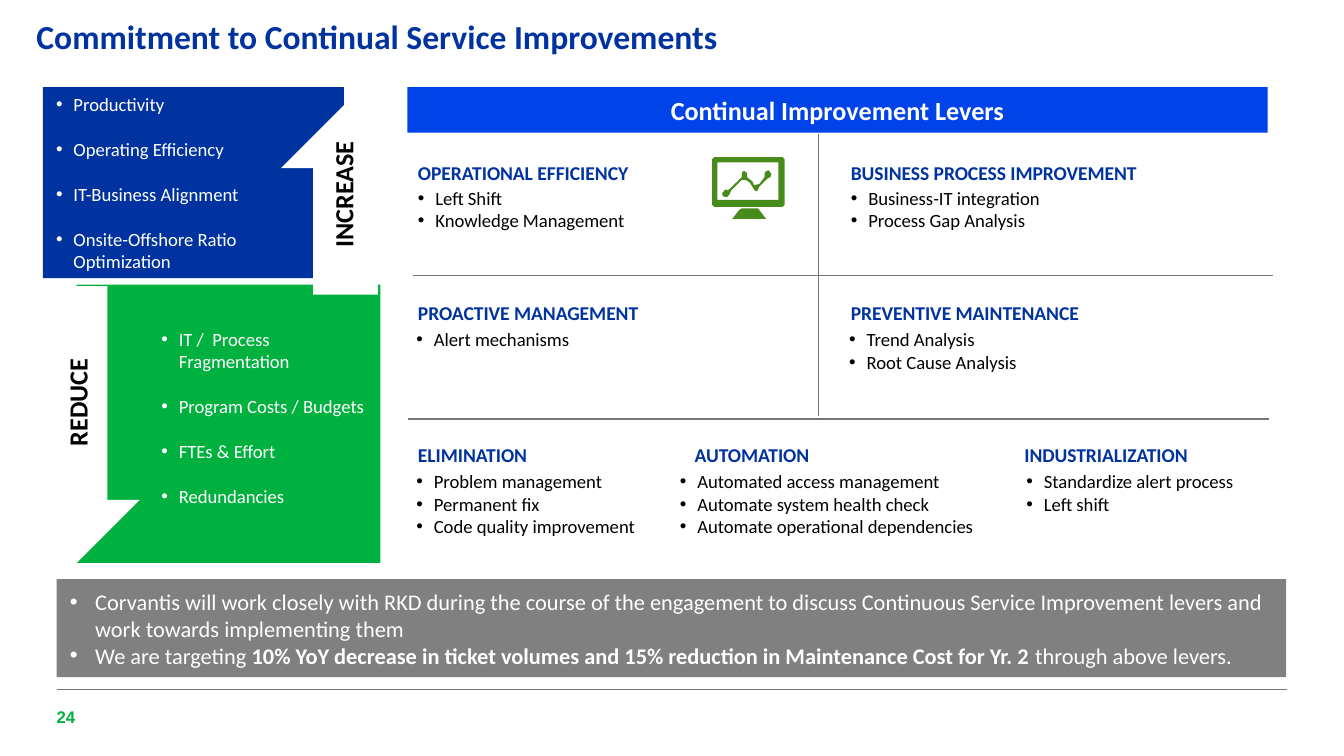
from lxml import etree
from pptx import Presentation
from pptx.dml.color import RGBColor
from pptx.enum.shapes import MSO_CONNECTOR, MSO_SHAPE
from pptx.enum.text import MSO_ANCHOR, PP_ALIGN
from pptx.oxml.ns import qn
from pptx.util import Cm, Pt

RECT, DOWN = MSO_SHAPE.RECTANGLE, MSO_SHAPE.DOWN_ARROW
TOP, MIDDLE = MSO_ANCHOR.TOP, MSO_ANCHOR.MIDDLE
LEFT, CENTER = PP_ALIGN.LEFT, PP_ALIGN.CENTER
STRAIGHT = MSO_CONNECTOR.STRAIGHT

NAVY, BLUE, GREEN, ICON = "0033A0", "0043E9", "00B140", "478B1B"
GREY, RULE, WHITE, BLACK = "808080", "767676", "FFFFFF", "000000"
WIDE, MID, SLIM, NONE = (0.25, 0.13), (0.18, 0.09), (0.15, 0.08), (0, 0)
INDENT = 0.33

TITLE = "Commitment to Continual Service Improvements"
INCREASE = ["Productivity", "Operating Efficiency", "IT-Business Alignment",
            "Onsite-Offshore Ratio Optimization"]
REDUCE = ["IT /  Process Fragmentation", "Program Costs / Budgets",
          "FTEs & Effort", "Redundancies"]
SUMMARY = [
    "Corvantis will work closely with RKD during the course of the engagement to discuss "
    "Continuous Service Improvement levers and work towards implementing them",
    "We are targeting *10% YoY decrease in ticket volumes and 15% reduction in "
    "Maintenance Cost for Yr. 2* through above levers.",
]
LEVER_ROWS = [
    (2.95, 3.45, [
        (7.72, 7.75, "OPERATIONAL EFFICIENCY", ["Left Shift", "Knowledge Management"]),
        (15.9, 15.93, "BUSINESS PROCESS IMPROVEMENT",
         ["Business-IT integration", "Process Gap Analysis"]),
    ]),
    (5.59, 6.12, [
        (7.72, 7.72, "PROACTIVE MANAGEMENT", ["Alert mechanisms"]),
        (15.9, 15.9, "PREVENTIVE MAINTENANCE", ["Trend Analysis", "Root Cause Analysis"]),
    ]),
    (8.28, 8.81, [
        (7.72, 7.72, "ELIMINATION",
         ["Problem management", "Permanent fix", "Code quality improvement"]),
        (12.95, 12.7, "AUTOMATION",
         ["Automated access management", "Automate system health check",
          "Automate operational dependencies"]),
        (19.18, 19.25, "INDUSTRIALIZATION", ["Standardize alert process", "Left shift"]),
    ]),
]
LABELS = [("INCREASE", 4.83, 3.33, 3.3), ("REDUCE", 0.1, 7.26, 2.72)]
ARROWS = [(5.31, 1.96, 3.61, 180), (0.2, 5.41, 5.26, 0)]
RULES = [(15.47, 7.87, 15.47, 2.54), (7.8, 5.21, 24.05, 5.21), (7.72, 7.92, 23.98, 7.92)]

ICON_AT = (13.46, 2.97)
SCREEN = [
    [(4, 0), (133, 0), (137, 4), (137, 90), (133, 94), (4, 94), (0, 90), (0, 4)],
    [(10, 10), (125, 10), (125, 81), (10, 81)],
]
STAND = [[(38, 117), (102, 117), (89, 100), (86, 97), (56, 97), (51, 100)]]
TREND = [[
    (99, 33), (99, 38), (89, 51), (79, 53), (76, 46), (66, 38), (66, 30), (60, 26),
    (56, 30), (56, 38), (30, 63), (25, 61), (19, 68), (20, 74), (28, 76), (33, 70),
    (36, 63), (56, 43), (63, 43), (71, 48), (76, 56), (79, 61), (83, 65), (86, 63),
    (89, 56), (104, 41), (110, 38), (112, 32), (107, 25), (101, 27),
]]

prs = Presentation()
prs.slide_width, prs.slide_height = Cm(25.4), Cm(14.29)
slide = prs.slides.add_slide(prs.slide_layouts[6])
shapes = slide.shapes


def rgb(value):
    return RGBColor.from_string(value)


def paint(sp, color):
    sp.shadow.inherit = False
    sp.fill.solid()
    sp.fill.fore_color.rgb = rgb(color)
    sp.line.fill.background()
    return sp


def add_block(kind, x, y, w, h, color):
    return paint(shapes.add_shape(kind, Cm(x), Cm(y), Cm(w), Cm(h)), color)


def add_bullet(p, indent):
    pPr = p._p.get_or_add_pPr()
    pPr.set("marL", str(Cm(indent)))
    pPr.set("indent", str(-Cm(indent)))
    etree.SubElement(pPr, qn("a:buFont")).set("typeface", "Arial")
    etree.SubElement(pPr, qn("a:buChar")).set("char", "•")


def write(sp, lines, size, color, bold=False, align=LEFT, anchor=TOP, inset=WIDE,
          indent=0, after=0, spacing=None, font="Calibri"):
    tf = sp.text_frame
    tf.word_wrap = True
    tf.vertical_anchor = anchor
    tf.margin_left = tf.margin_right = Cm(inset[0])
    tf.margin_top = tf.margin_bottom = Cm(inset[1])
    for i, line in enumerate(lines):
        p = tf.add_paragraph() if i else tf.paragraphs[0]
        if indent:
            add_bullet(p, indent)
        p.alignment = align
        p.space_after = Pt(after)
        p.line_spacing = spacing
        for j, part in enumerate(line.split("*")):
            r = p.add_run()
            r.text = part
            r.font.size, r.font.name = Pt(size), font
            r.font.bold = bold or j % 2 == 1
            r.font.color.rgb = rgb(color)


def add_text(x, y, w, h, lines, size, color, **style):
    sp = shapes.add_textbox(Cm(x), Cm(y), Cm(w), Cm(h))
    write(sp, lines, size, color, **style)
    return sp


def add_rule(x1, y1, x2, y2, width):
    line = shapes.add_connector(STRAIGHT, Cm(x1), Cm(y1), Cm(x2), Cm(y2))
    line.line.color.rgb = rgb(RULE)
    line.line.width = Pt(width)
    etree.SubElement(line._element.spPr, qn("a:effectLst"))


def add_outline(contours):
    builder = shapes.build_freeform(*contours[0][0], scale=Cm(0.01))
    for i, points in enumerate(contours):
        if i:
            builder.move_to(*points[0])
        builder.add_line_segments(points[1:], close=True)
    paint(builder.convert_to_shape(Cm(ICON_AT[0]), Cm(ICON_AT[1])), ICON)


add_rule(1.07, 13.03, 24.33, 13.03, 0.5)
add_text(0.69, 0.28, 23.29, 0.89, [TITLE], 18, NAVY, bold=True, anchor=MIDDLE,
         inset=NONE, spacing=0.9)
add_text(1.07, 13.34, 0.64, 0.43, ["24"], 9, GREEN, bold=True, anchor=MIDDLE,
         inset=NONE, font="Arial")

add_block(RECT, 1.45, 5.38, 5.74, 5.26, GREEN)
write(add_block(RECT, 0.81, 1.65, 5.69, 3.61, NAVY), INCREASE, 10, WHITE,
      anchor=MIDDLE, indent=INDENT, after=12)

for contours in (SCREEN, STAND, TREND):
    add_outline(contours)

for head_y, list_y, levers in LEVER_ROWS:
    for head_x, list_x, head, items in levers:
        add_text(head_x, head_y, 7.4, 0.64, [head], 10.5, NAVY, bold=True, inset=MID)
        add_text(list_x, list_y, 6.8, 0.13 + 0.43 * len(items), items, 10, BLACK,
                 inset=SLIM, indent=INDENT)

add_text(2.87, 6.1, 4.55, 3.58, REDUCE, 10, WHITE, anchor=MIDDLE, inset=MID,
         indent=INDENT, after=12)
for x, y, h, angle in ARROWS:
    add_block(DOWN, x, y, 2.44, h, WHITE).rotation = angle
for label, x, y, w in LABELS:
    add_text(x, y, w, 0.69, [label], 14, BLACK, bold=True, align=CENTER,
             anchor=MIDDLE, inset=MID).rotation = 270
for rule in RULES:
    add_rule(*rule, 0.75)

write(add_block(RECT, 7.7, 1.65, 16.26, 0.86, BLUE), ["Continual Improvement Levers"],
      14, WHITE, bold=True, align=CENTER)
write(add_block(RECT, 1.07, 10.95, 23.24, 1.85, GREY), SUMMARY, 12, WHITE,
      anchor=MIDDLE, indent=0.48)

prs.save("out.pptx")
